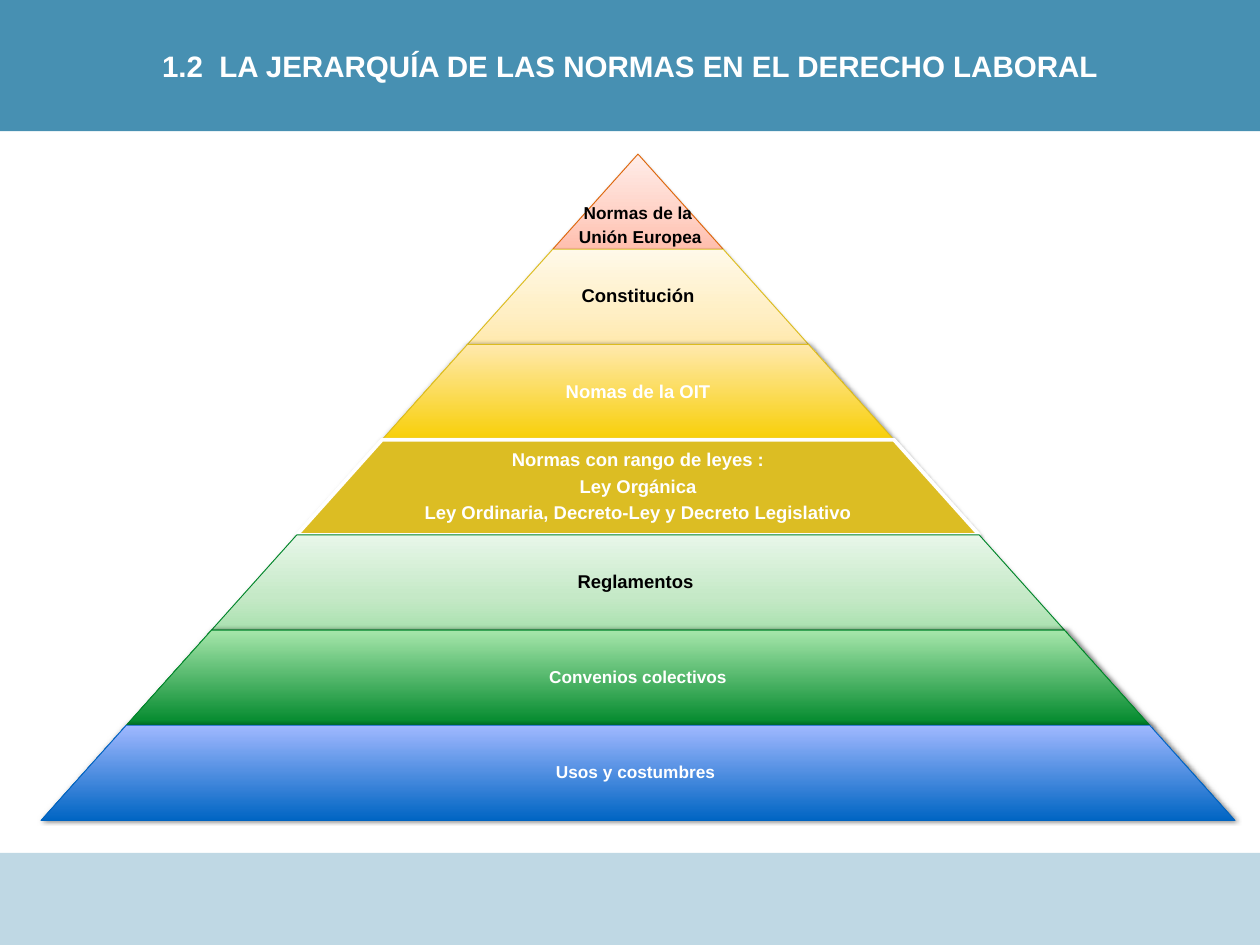
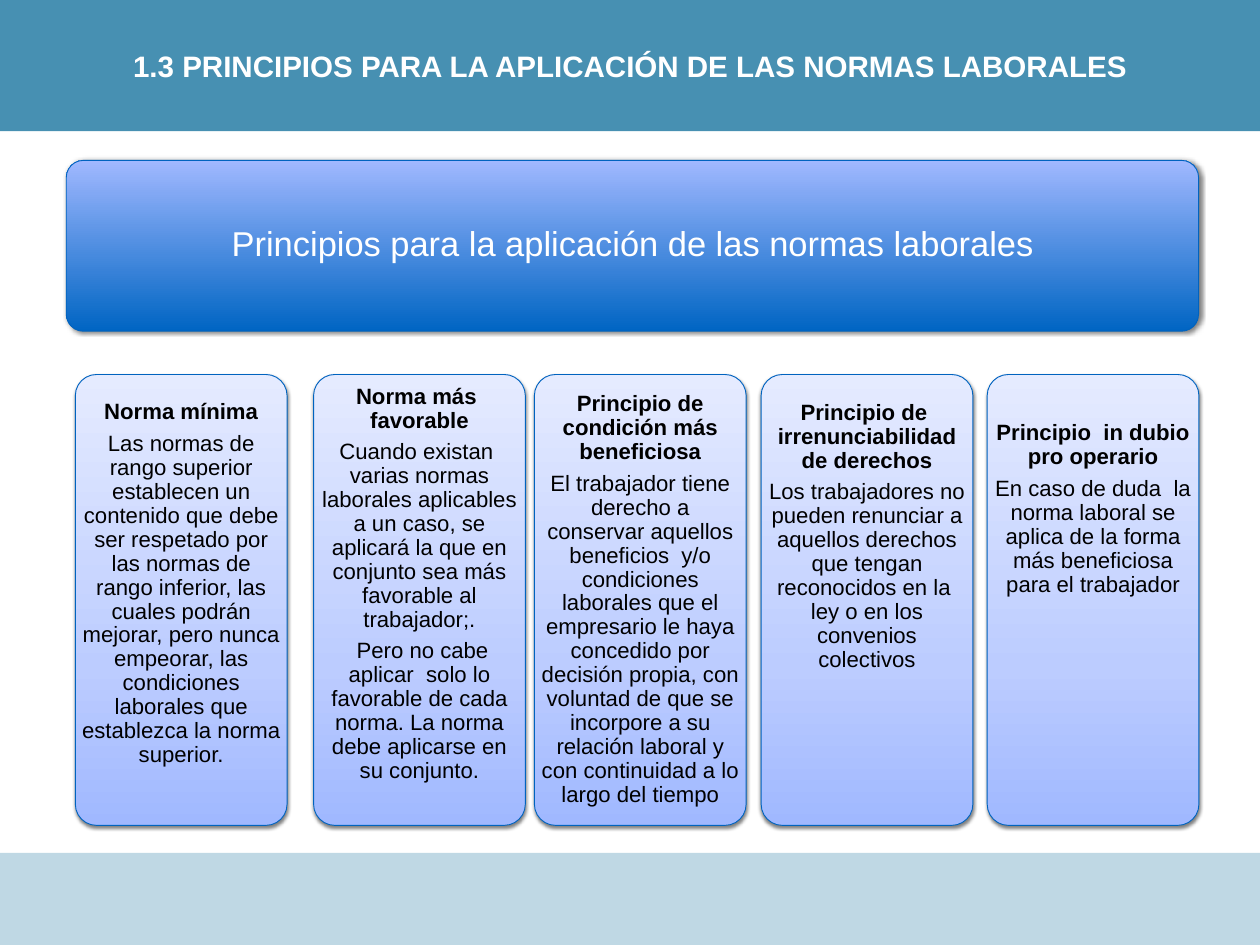
import pptx
import pptx.dml.color
import pptx.enum.shapes
import pptx.enum.text
import pptx.oxml.ns
import pptx.util
from lxml import etree

Cm = pptx.util.Cm
Pt = pptx.util.Pt
SHAPES = pptx.enum.shapes.MSO_SHAPE
qn = pptx.oxml.ns.qn

PAGE_WIDTH, PAGE_HEIGHT = 36.12, 27.1
COLORS = {
    "band": "2E81A8", "white": "FFFFFF", "black": "000000",
    "orange": "DE670B", "gold": "DCBC1E", "ochre": "DCBD23",
    "green": "00852A", "blue": "0063BF",
}
# Gradient stops run from the bottom edge to the top edge.
GRADIENTS = {
    "pale red": [(0, "FFBEAD"), (35, "FFD1C5"), (100, "FFEDE9")],
    "pale gold": [(0, "FFE9AD"), (35, "FFEFC5"), (100, "FFF9E9")],
    "strong gold": [(0, "F8CF07"), (100, "FFE9AD")],
    "pale green": [(0, "AAE1AF"), (35, "C5E9C7"), (100, "E8F7E9")],
    "strong green": [(0, "00882B"), (100, "A6E6AB")],
    "pale blue": [(0, "A0B8FF"), (35, "BCCCFF"), (100, "E5EBFF")],
    "strong blue": [(0, "0065C3"), (100, "A0B8FF")],
}
# Blur and distance in points, direction in degrees.
SHADOWS = {"below": (3, 2, 90), "right": (4, 1, 0)}


def rgb(name):
    return pptx.dml.color.RGBColor.from_string(COLORS[name])


def add_color(parent, value):
    return etree.SubElement(parent, qn("a:srgbClr"), val=value)


def add_alpha(color, percent):
    etree.SubElement(color, qn("a:alpha"), val=str(percent * 1000))


class Deck:
    font = "Arial"

    def __init__(self):
        self.deck = pptx.Presentation()
        self.deck.slide_width = Cm(PAGE_WIDTH)
        self.deck.slide_height = Cm(PAGE_HEIGHT)
        self.page = None

    def add_page(self, title):
        self.page = self.deck.slides.add_slide(self.deck.slide_layouts[6])
        self.band(24.46, 2.64, 30)
        header = self.band(0, 3.76, 88)
        self.add_text(header, [(title, True)], 24, "white", spacing=1)

    def shape(self, kind, left, top, width, height):
        shape = self.page.shapes.add_shape(
            kind, Cm(left), Cm(top), Cm(width), Cm(height))
        shape.shadow.inherit = False
        return shape

    def band(self, top, height, opacity):
        band = self.shape(SHAPES.RECTANGLE, 0, top, PAGE_WIDTH, height)
        band.fill.solid()
        band.fill.fore_color.rgb = rgb("band")
        band.line.fill.background()
        solid = band._element.spPr.find(qn("a:solidFill"))
        add_alpha(solid.find(qn("a:srgbClr")), opacity)
        return band

    def panel(self, kind, frame, adjustment, fill, line, shadow, line_width=0.75):
        """A shape with a gradient or plain fill, an outline and a shadow."""
        panel = self.shape(kind, *frame)
        panel.adjustments[0] = adjustment
        panel.line.color.rgb = rgb(line)
        panel.line.width = Pt(line_width)
        properties = panel._element.spPr
        if fill in GRADIENTS:
            panel.fill.gradient()
            panel.fill.gradient_angle = 90
            stops = properties.find(qn("a:gradFill")).find(qn("a:gsLst"))
            for stop in list(stops):
                stops.remove(stop)
            for position, value in GRADIENTS[fill]:
                stop = etree.SubElement(stops, qn("a:gs"), pos=str(position * 1000))
                add_color(stop, value)
        else:
            panel.fill.solid()
            panel.fill.fore_color.rgb = rgb(fill)
        blur, distance, direction = SHADOWS[shadow]
        outer = etree.SubElement(
            properties.find(qn("a:effectLst")), qn("a:outerShdw"),
            blurRad=str(Pt(blur)), dist=str(Pt(distance)),
            dir=str(direction * 60000), rotWithShape="0")
        add_alpha(add_color(outer, COLORS["black"]), 50)
        return panel

    def label(self, frame, lines, size, color, top_inset=0):
        box = self.page.shapes.add_textbox(*[Cm(length) for length in frame])
        self.add_text(box, [(line, True) for line in lines], size, color,
                      top_inset=top_inset)

    def add_text(self, box, lines, size, color, spacing=0.9, top_inset=0,
                 bottom_inset=0):
        frame = box.text_frame
        frame.word_wrap = True
        frame.vertical_anchor = pptx.enum.text.MSO_ANCHOR.MIDDLE
        frame.margin_left = frame.margin_right = 0
        frame.margin_top, frame.margin_bottom = Cm(top_inset), Cm(bottom_inset)
        for index, (text, bold) in enumerate(lines):
            para = frame.paragraphs[0] if index == 0 else frame.add_paragraph()
            para.alignment = pptx.enum.text.PP_ALIGN.CENTER
            para.line_spacing = spacing
            para.space_after = Pt(round(size * 0.35, 2))
            span = para.add_run()
            span.text = text
            span.font.name = self.font
            span.font.size = Pt(size)
            span.font.bold = bold
            span.font.color.rgb = rgb(color)


# Levels from the top: lines, size, text colour, fill, outline, shadow
LEVELS = [
    (["Normas de la", " Unión Europea"], 14, "black", "pale red", "orange", "below"),
    (["Constitución"], 15, "black", "pale gold", "gold", "below"),
    (["Nomas de la OIT"], 15, "white", "strong gold", "gold", "right"),
    (["Normas con rango de leyes :", "Ley Orgánica",
      "Ley Ordinaria, Decreto-Ley y Decreto Legislativo"],
     15, "white", "ochre", "white", "below"),
    (["Reglamentos "], 15, "black", "pale green", "green", "below"),
    (["Convenios colectivos"], 14, "white", "strong green", "green", "right"),
    (["Usos y costumbres "], 14, "white", "strong blue", "blue", "right"),
]

# Cards: left edge, space kept free at the bottom, heading, body
CARDS = [
    (2.16, 0.91, "Norma mínima",
     ["Las normas de rango superior establecen un contenido que debe ser "
      "respetado por las normas de rango inferior, las cuales podrán mejorar, "
      "pero nunca empeorar, las condiciones laborales que establezca la norma "
      "superior."]),
    (8.99, 0.91, "Norma más  favorable",
     ["Cuando existan  varias normas laborales aplicables a un caso, se aplicará "
      "la que en conjunto sea más favorable al trabajador;.",
      " Pero no cabe aplicar  solo lo favorable de cada norma. La norma debe "
      "aplicarse en su conjunto."]),
    (15.32, 0, "Principio de condición más beneficiosa",
     ["El trabajador tiene derecho a conservar aquellos beneficios  y/o "
      "condiciones laborales que el empresario le haya concedido por decisión "
      "propia, con voluntad de que se incorpore a su relación laboral y con "
      "continuidad a lo largo del tiempo"]),
    (21.82, 3.64, "Principio de  irrenunciabilidad de derechos",
     ["Los trabajadores no pueden renunciar a aquellos derechos que tengan "
      "reconocidos en la  ley o en los convenios colectivos"]),
    (28.3, 5.2, "Principio  in dubio pro operario",
     ["En caso de duda  la norma laboral se aplica de la forma más beneficiosa "
      "para el trabajador"]),
]


def add_pyramid(deck):
    center, top, height, step = 18.29, 4.42, 2.73, 4.89
    for index, (lines, size, color, fill, line, shadow) in enumerate(LEVELS):
        width = step * (index + 1)
        level_top = top + height * index
        deck.panel(SHAPES.TRAPEZOID, (center - width / 2, level_top, width, height),
                   step / 2 / height, fill, line, shadow,
                   3 if line == "white" else 0.75)
        # The tip needs its whole width and a lower text position.
        text_width = width if index == 0 else width * 0.65
        deck.label((center - text_width / 2, level_top, text_width, height),
                   lines, size, color, top_inset=1.4 if index == 0 else 0)


def add_principles(deck):
    heading = deck.panel(SHAPES.ROUNDED_RECTANGLE, (1.9, 4.6, 32.46, 4.9), 0.1,
                         "strong blue", "blue", "right")
    deck.add_text(heading, [("Principios para la aplicación de las normas laborales",
                             False)], 28, "white")
    for left, free_space, title, body in CARDS:
        card = deck.panel(SHAPES.ROUNDED_RECTANGLE, (left, 10.74, 6.07, 12.93), 0.1,
                          "pale blue", "blue", "below")
        lines = [(title, True)] + [(text, False) for text in body]
        deck.add_text(card, lines, 18, "black", bottom_inset=free_space)


def main():
    deck = Deck()
    deck.add_page("1.2  LA JERARQUÍA DE LAS NORMAS EN EL DERECHO LABORAL")
    add_pyramid(deck)
    deck.add_page("1.3 PRINCIPIOS PARA LA APLICACIÓN DE LAS NORMAS LABORALES")
    add_principles(deck)
    deck.deck.save("out.pptx")


if __name__ == "__main__":
    main()
